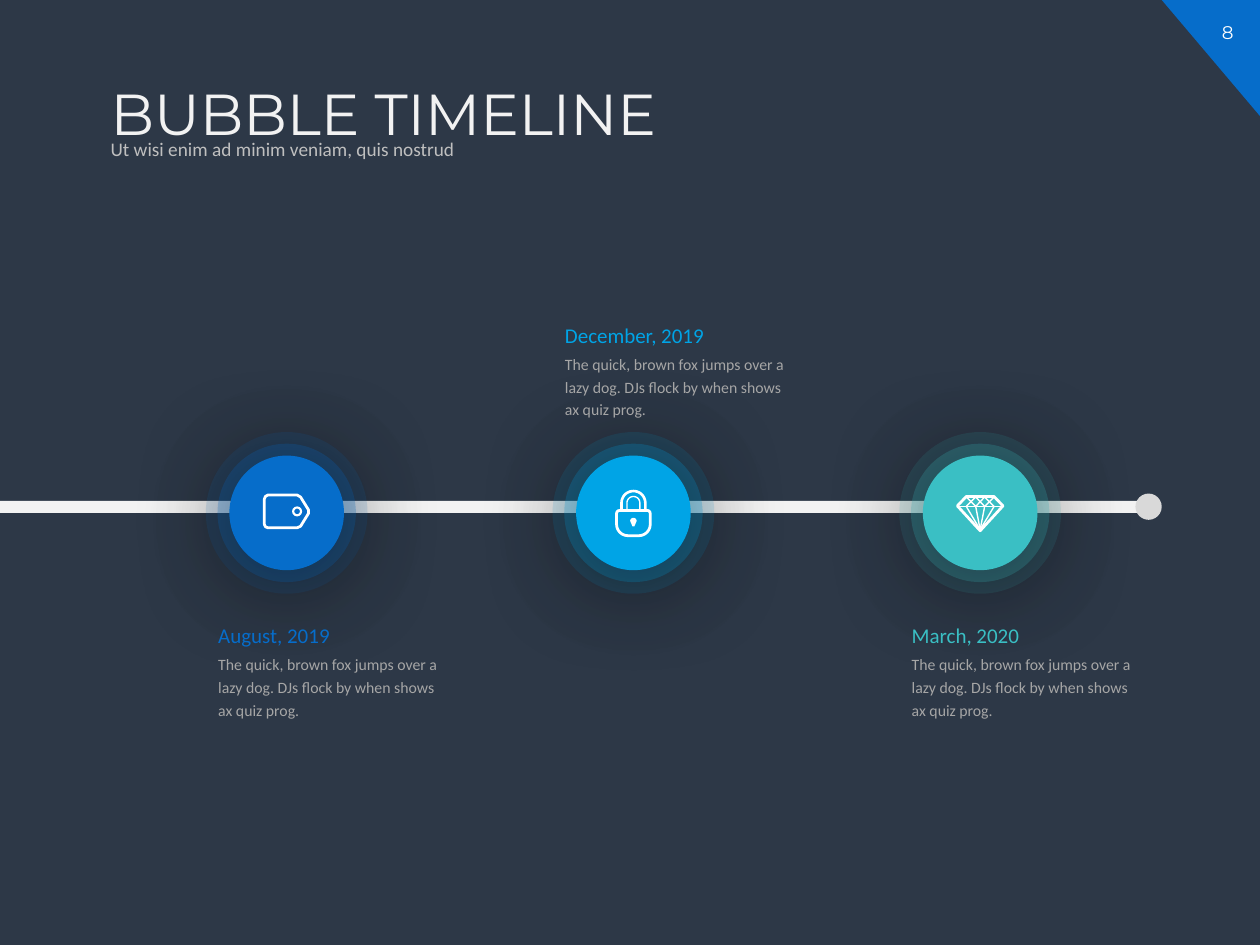
from math import cos, pi, sin

from lxml.etree import SubElement
from pptx import Presentation
from pptx.dml.color import RGBColor
from pptx.enum.shapes import MSO_SHAPE as SHAPE
from pptx.enum.text import MSO_ANCHOR as ANCHOR, PP_ALIGN as ALIGN
from pptx.oxml.ns import qn
from pptx.util import Cm, Pt

COLORS = {
    "background": "2D3847", "bar": "F2F2F2", "end": "D9D9D9", "white": "FFFFFF",
    "subtitle": "BFBFBF", "body": "A6A6A6",
    "blue": "066DCA", "sky": "00A4E6", "teal": "3ABFC4",
}
BODY = "The quick, brown fox jumps over a lazy dog. DJs flock by when shows ax quiz prog."

prs = Presentation()
prs.slide_width, prs.slide_height = Cm(25.4), Cm(19.05)
s = prs.slides.add_slide(prs.slide_layouts[6])
s.background.fill.solid()
s.background.fill.fore_color.rgb = RGBColor.from_string(COLORS["background"])


def paint(sp, color, line_width=None):
    """Fill the shape, or only stroke it when a line width is given."""
    sp.shadow.inherit = False
    if line_width:
        sp.fill.background()
        sp.line.width = Pt(line_width)
        target = sp.line.fill
    else:
        sp.line.fill.background()
        target = sp.fill
    target.solid()
    target.fore_color.rgb = RGBColor.from_string(COLORS[color])
    return sp


def add_text(box, text, size, color, font="Calibri", spacing=None):
    sp = s.shapes.add_textbox(*map(Cm, box))
    tf = sp.text_frame
    tf.word_wrap = True
    p = tf.paragraphs[0]
    p.text = text
    p.line_spacing = spacing
    p.font.size, p.font.name = Pt(size), font
    p.font.color.rgb = RGBColor.from_string(COLORS[color])
    return tf


# Page corner and headings
corner = s.shapes.add_shape(SHAPE.RIGHT_TRIANGLE, Cm(23.42), 0, Cm(1.98), Cm(2.34))
corner.rotation = 180
paint(corner, "blue")
tf = add_text((24.1, 0.3, 1.3, 0.71), "8", 10.5, "white", "Montserrat")
tf.paragraphs[0].alignment = ALIGN.CENTER
add_text((1.98, 1.6, 22.5, 1.85), "BUBBLE TIMELINE", 33, "bar", "Montserrat", 0.9)
tf = add_text((1.98, 2.69, 18.31, 0.66),
              "Ut wisi enim ad minim veniam, quis nostrud", 11, "subtitle", spacing=0.9)
tf.vertical_anchor = ANCHOR.MIDDLE

# Timeline bar
bar = s.shapes.add_shape(SHAPE.ROUNDED_RECTANGLE, Cm(-0.23), Cm(10.1), Cm(23.42), Cm(0.24))
bar.adjustments[0] = 0.5
paint(bar, "bar")

# Bubbles: two translucent rings around a solid disc, each with a soft shadow
CENTER_Y = 10.34
CENTERS = [5.78 + 6.99 * i for i in range(3)]
RINGS = [(3.26, 13, 49), (2.79, 25, 49), (2.31, 100, 64)]  # diameter, opacity, blur
MILESTONES = [("August, 2019", "blue", 12.32), ("December, 2019", "sky", 6.27),
              ("March, 2020", "teal", 12.32)]

for x, (date, color, text_top) in zip(CENTERS, MILESTONES):
    for diameter, opacity, blur in RINGS:
        sp = s.shapes.add_shape(SHAPE.OVAL, Cm(x - diameter / 2), Cm(CENTER_Y - diameter / 2),
                                Cm(diameter), Cm(diameter))
        paint(sp, color)
        if opacity < 100:
            fill_color = sp._element.spPr.find(qn("a:solidFill"))[0]
            SubElement(fill_color, qn("a:alpha"), val=str(opacity * 1000))
        shadow = SubElement(sp._element.spPr.find(qn("a:effectLst")), qn("a:outerShdw"),
                            blurRad=str(Pt(blur)), dist=str(Pt(4)), dir="5400000",
                            algn="t", rotWithShape="0")
        shadow_color = SubElement(shadow, qn("a:srgbClr"), val="000000")
        SubElement(shadow_color, qn("a:alpha"), val="43000")
    left = x - 1.63
    add_text((left, text_top, 5.26, 0.86), date, 12, color, spacing=1.2)
    add_text((left, text_top + 0.68, 4.95, 1.65), BODY, 9, "body", spacing=1.2)

paint(s.shapes.add_shape(SHAPE.OVAL, Cm(22.89), Cm(9.95), Cm(0.53), Cm(0.53)), "end")

# Icon outlines, in cm from the bubble centre: bubble, points, closed, line width
wallet_x, lock_x, diamond_x = CENTERS
half_turn = [pi + pi * i / 24 for i in range(25)]
arches = [[(-r, -0.05)] + [(r * cos(a), -0.2 + r * sin(a)) for a in half_turn] + [(r, -0.05)]
          for r in (0.24, 0.13)]
keyhole = [(0.065 * cos(a), 0.165 + 0.065 * sin(a)) for a in half_turn] + [(0.02, 0.27), (-0.02, 0.27)]
wallet = [(-0.45, -0.28), (-0.43, -0.33), (-0.38, -0.36), (0.21, -0.36), (0.28, -0.32),
          (0.44, -0.06), (0.44, 0.01), (0.28, 0.27), (0.21, 0.3), (-0.38, 0.3),
          (-0.43, 0.28), (-0.45, 0.23)]
gem = [(-0.28, -0.33), (0.28, -0.33), (0.46, -0.14), (0, 0.36), (-0.46, -0.14)]
zigzag_x = (-0.28, -0.09, 0.09, 0.28)
facets = [[(-0.46, -0.13), (0.46, -0.13)]]
facets += [[(x, -0.13), (0, 0.34)] for x in zigzag_x]
facets += [[(x, (high, low)[i % 2]) for i, x in enumerate(zigzag_x)]
           for high, low in ((-0.32, -0.13), (-0.13, -0.32))]

OUTLINES = [(wallet_x, wallet, True, 1.6), (lock_x, arches[0], False, 1.5),
            (lock_x, arches[1], False, 0.8), (lock_x, keyhole, True, None),
            (diamond_x, gem, True, 1.6)]
OUTLINES += [(diamond_x, facet, False, 0.8) for facet in facets]

for x, points, closed, width in OUTLINES:
    places = [(Cm(x + dx), Cm(CENTER_Y + dy)) for dx, dy in points]
    outline = s.shapes.build_freeform(*places[0])
    outline.add_line_segments(places[1:], close=closed)
    paint(outline.convert_to_shape(), "white", width)

clasp = s.shapes.add_shape(SHAPE.OVAL, Cm(wallet_x + 0.13), Cm(CENTER_Y - 0.11), Cm(0.16), Cm(0.16))
paint(clasp, "white", 1.2)
lock_body = s.shapes.add_shape(SHAPE.ROUND_2_SAME_RECTANGLE, Cm(lock_x - 0.34),
                               Cm(CENTER_Y - 0.05), Cm(0.68), Cm(0.51))
lock_body.adjustments[0], lock_body.adjustments[1] = 0.12, 0.45
paint(lock_body, "white", 1.6)

prs.save("out.pptx")
